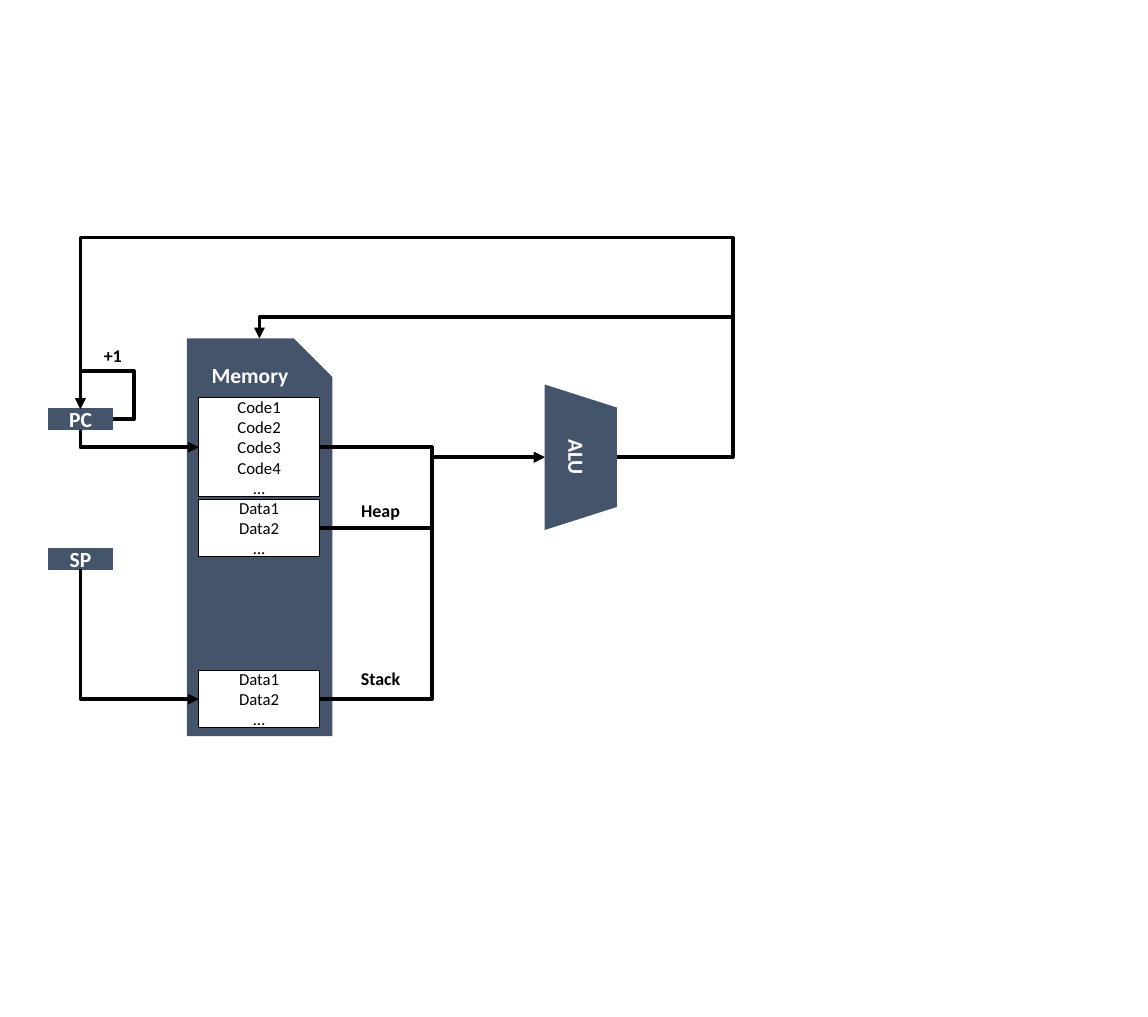
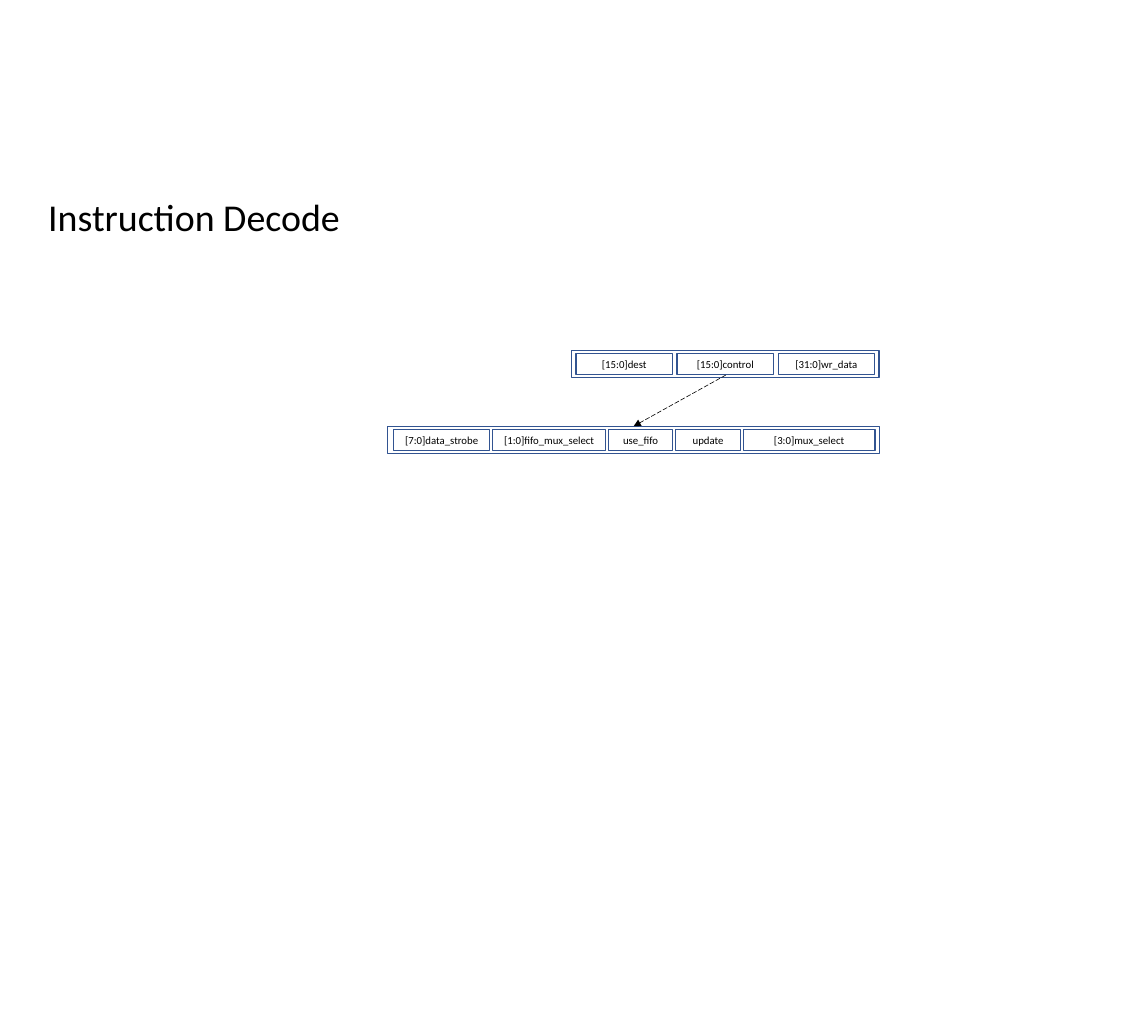
from lxml.etree import SubElement
from pptx import Presentation
from pptx.dml.color import RGBColor
from pptx.enum.dml import MSO_LINE
from pptx.enum.shapes import MSO_CONNECTOR, MSO_SHAPE
from pptx.enum.text import MSO_ANCHOR, PP_ALIGN
from pptx.oxml.ns import qn
from pptx.util import Pt

COLORS = {"slate": "44546A", "field": "325491", "black": "000000", "white": "FFFFFF"}
FONT = "Calibri"


def add_box(shapes, kind, bounds, lines=(), size=14, color="black", bold=False, fill=None, outline=None):
    lengths = [Pt(value) for value in bounds]
    if kind is None:
        shape = shapes.add_textbox(*lengths)
    else:
        shape = shapes.add_shape(kind, *lengths)
        shape.shadow.inherit = False
        if fill:
            shape.fill.solid()
            shape.fill.fore_color.rgb = RGBColor.from_string(COLORS[fill])
        else:
            shape.fill.background()
        if outline:
            shape.line.color.rgb = RGBColor.from_string(COLORS[outline])
            shape.line.width = Pt(1)
        else:
            shape.line.fill.background()
    frame = shape.text_frame
    frame.word_wrap = True
    frame.vertical_anchor = MSO_ANCHOR.MIDDLE
    frame.margin_left = frame.margin_right = frame.margin_top = frame.margin_bottom = 0
    for index, text in enumerate(lines):
        paragraph = frame.add_paragraph() if index else frame.paragraphs[0]
        paragraph.alignment = PP_ALIGN.CENTER
        run = paragraph.add_run()
        run.text = text
        run.font.name = FONT
        run.font.size = Pt(size)
        run.font.bold = bold
        run.font.color.rgb = RGBColor.from_string(COLORS[color])
    return shape


def add_arrow(shapes, kind, begin, end, width, dash=None):
    connector = shapes.add_connector(kind, *[Pt(value) for value in begin + end])
    connector.line.color.rgb = RGBColor.from_string(COLORS["black"])
    connector.line.width = Pt(width)
    if dash:
        connector.line.dash_style = dash
    properties = connector.element.spPr
    SubElement(properties.find(qn("a:ln")), qn("a:tailEnd"), type="triangle")
    SubElement(properties, qn("a:effectLst"))
    return connector


presentation = Presentation()
presentation.slide_width = Pt(960)
presentation.slide_height = Pt(850.4)

slide = presentation.slides.add_slide(presentation.slide_layouts[6])
shapes = slide.shapes
heading = {"size": 18, "color": "white", "bold": True, "fill": "slate"}

alu = add_box(shapes, MSO_SHAPE.TRAPEZOID, (424.8, 352.1, 121.7, 60.5), ["ALU"], **heading)
alu.rotation = 90
alu.adjustments[0] = 0.319
memory = add_box(shapes, MSO_SHAPE.SNIP_1_RECTANGLE, (156.2, 283, 121.7, 332.6), ["Memory"], **heading)
memory.adjustments[0] = 0.264
memory.text_frame.vertical_anchor = MSO_ANCHOR.TOP
memory.text_frame.margin_top = Pt(3.6)

pc, sp = [
    add_box(shapes, MSO_SHAPE.RECTANGLE, (40.3, top, 54, 17.3), [name], outline="slate", **heading)
    for name, top in (("PC", 342), ("SP", 458.6))
]
code, heap, stack = [
    add_box(shapes, MSO_SHAPE.RECTANGLE, (166.3, top, 100.8, height), lines, fill="white", outline="black")
    for top, height, lines in (
        (332.6, 82.8, ["Code1", "Code2", "Code3", "Code4", "…"]),
        (417.6, 47.5, ["Data1", "Data2", "…"]),
        (560.9, 47.5, ["Data1", "Data2", "…"]),
    )
]
for text, left, top, width in (("+1", 72, 285.8, 44.6), ("Heap", 288, 415.4, 60.5), ("Stack", 288, 555.8, 60.5)):
    add_box(shapes, None, (left, top, width, 23), [text], size=15, bold=True)

TOP, LEFT, BOTTOM, RIGHT = range(4)
ALU_OUTPUT, ALU_INPUT, MEMORY_TOP = 0, 2, 3
alu_output, alu_input = (515.9, 382.3), (455.4, 382.3)
pc_top, pc_right, pc_bottom = (67.3, 342), (94.3, 350.6), (67.3, 359.3)
block_left, block_right = 166.3, 267.1
code_middle, heap_middle, stack_middle = 374, 441.4, 584.6

routes = [
    (alu, ALU_OUTPUT, alu_output, memory, MEMORY_TOP, (217, 283), "bentConnector4", (612.7, 265)),
    (alu, ALU_OUTPUT, alu_output, pc, TOP, pc_top, "bentConnector4", (612.7, 198.7)),
    (pc, RIGHT, pc_right, pc, TOP, pc_top, "bentConnector4", (112.3, 310.3)),
    (sp, BOTTOM, (67.3, 475.9), stack, LEFT, (block_left, stack_middle), "bentConnector2", None),
    (pc, BOTTOM, pc_bottom, code, LEFT, (block_left, code_middle), "bentConnector2", None),
]
for block, middle in ((code, code_middle), (stack, stack_middle), (heap, heap_middle)):
    routes.append((block, RIGHT, (block_right, middle), alu, ALU_INPUT, alu_input, "bentConnector3", None))

for source, source_site, begin, target, target_site, end, preset, turn in routes:
    connector = add_arrow(shapes, MSO_CONNECTOR.ELBOW, begin, end, 3)
    connector.begin_connect(source, source_site)
    connector.end_connect(target, target_site)
    connector.begin_x, connector.begin_y = Pt(begin[0]), Pt(begin[1])
    connector.end_x, connector.end_y = Pt(end[0]), Pt(end[1])
    geometry = connector.element.spPr.find(qn("a:prstGeom"))
    geometry.set("prst", preset)
    if turn:
        guides = geometry.find(qn("a:avLst"))
        for axis in (0, 1):
            ratio = (turn[axis] - begin[axis]) / (end[axis] - begin[axis])
            SubElement(guides, qn("a:gd"), name=f"adj{axis + 1}", fmla=f"val {round(ratio * 100000)}")
    if preset == "bentConnector2":
        across, down = end[0] - begin[0], end[1] - begin[1]
        connector.left = Pt((begin[0] + end[0] - down) / 2)
        connector.top = Pt((begin[1] + end[1] - across) / 2)
        connector.width, connector.height = Pt(down), Pt(across)
        transform = connector.element.spPr.find(qn("a:xfrm"))
        transform.set("rot", "16200000")
        transform.set("flipH", "1")

slide = presentation.slides.add_slide(presentation.slide_layouts[5])
title = slide.shapes.title
title.left, title.top, title.width, title.height = Pt(33.1), Pt(167), Pt(828), Pt(37.4)
title.text_frame.vertical_anchor = MSO_ANCHOR.MIDDLE
paragraph = title.text_frame.paragraphs[0]
paragraph.alignment = PP_ALIGN.LEFT
paragraph.line_spacing = 0.7
paragraph.space_before = Pt(0)
run = paragraph.add_run()
run.text = "Instruction Decode"
run.font.name = FONT
run.font.size = Pt(31.7)
run.font.color.rgb = RGBColor.from_string(COLORS["black"])

registers = [
    (293, (478.1, 257), 481.7, 3.9, [("[15:0]dest", 80.6), ("[15:0]control", 80.6), ("[31:0]wr_data", 80.6)]),
    (356.4, (324, 411.5), 329, 2.4, [
        ("[7:0]data_strobe", 80.6), ("[1:0]fifo_mux_select", 94.3), ("use_fifo", 54),
        ("update", 54), ("[3:0]mux_select", 110.2),
    ]),
]
for top, (frame_left, frame_width), left, gap, fields in registers:
    group = slide.shapes.add_group_shape()
    add_box(group.shapes, MSO_SHAPE.RECTANGLE, (frame_left, top, frame_width, 23), outline="field")
    for name, width in fields:
        add_box(group.shapes, MSO_SHAPE.RECTANGLE, (left, top + 2.4, width, 18), [name], size=9, outline="field")
        left += width + gap

add_arrow(slide.shapes, MSO_CONNECTOR.STRAIGHT, (607, 313.6), (529.9, 356.4), 0.5, MSO_LINE.LONG_DASH)

presentation.save("out.pptx")
